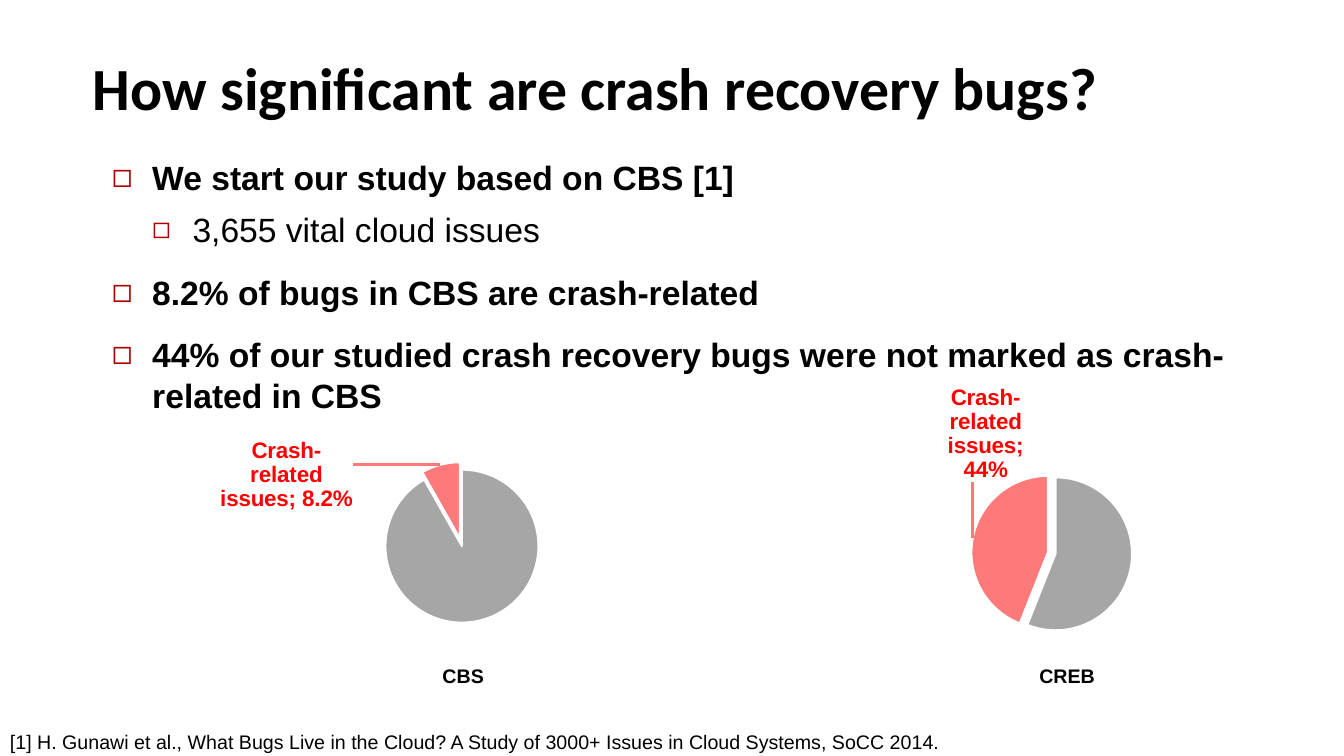
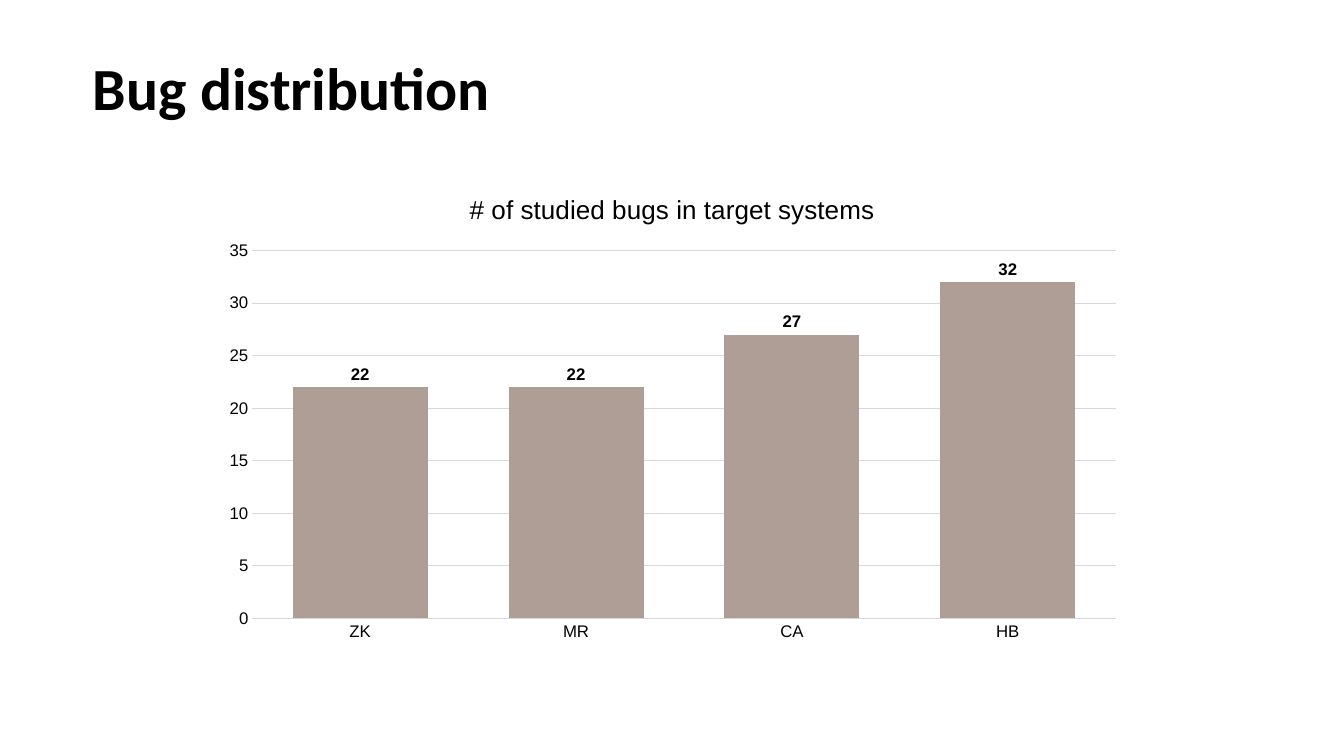
from copy import deepcopy

from pptx import Presentation
from pptx.chart.data import CategoryChartData
from pptx.dml.color import RGBColor
from pptx.enum.chart import XL_CHART_TYPE, XL_LABEL_POSITION, XL_TICK_MARK
from pptx.enum.text import MSO_ANCHOR, PP_ALIGN
from pptx.oxml import parse_xml
from pptx.oxml.ns import nsdecls, qn
from pptx.util import Inches, Pt

PIE, COLUMN = XL_CHART_TYPE.PIE, XL_CHART_TYPE.COLUMN_CLUSTERED
OUTSIDE_END = XL_LABEL_POSITION.OUTSIDE_END
NO_TICK = XL_TICK_MARK.NONE
LEFT, BOTTOM, TOP = PP_ALIGN.LEFT, MSO_ANCHOR.BOTTOM, MSO_ANCHOR.TOP

BLACK = RGBColor(0x00, 0x00, 0x00)
WHITE = RGBColor(0xFF, 0xFF, 0xFF)
RED = RGBColor(0xFF, 0x00, 0x00)
BULLET_RED = RGBColor(0xAD, 0x01, 0x01)
PINK = RGBColor(0xFE, 0x79, 0x79)
GRAY = RGBColor(0xA6, 0xA6, 0xA6)
GRID_GRAY = RGBColor(0xD9, 0xD9, 0xD9)
TAUPE = RGBColor(0xAF, 0x9E, 0x95)


def write(para, text, *, size, bold=False, font="Arial", color=BLACK, line=None, before=0):
    para.alignment = LEFT
    para.space_before = Pt(before)
    if line:
        para.line_spacing = line
    span = para.add_run()
    span.text = text
    span.font.size = Pt(size)
    span.font.bold = bold
    span.font.name = font
    span.font.color.rgb = color


def layout_xml(target="", **fractions):
    """Return a manual chart layout: x, y, w and h as shares of the chart."""
    sides = "".join(f'<c:{side} val="{share}"/>' for side, share in fractions.items())
    modes = '<c:xMode val="edge"/><c:yMode val="edge"/>' if target else ""
    head = f'<c:layoutTarget val="{target}"/>' if target else ""
    return parse_xml(f'<c:layout {nsdecls("c")}><c:manualLayout>{head}{modes}{sides}'
                     "</c:manualLayout></c:layout>")


deck = Presentation()
deck.slide_width, deck.slide_height = Inches(13.33), Inches(7.5)
TITLE_AND_BODY, TITLE_ONLY = deck.slide_layouts[1], deck.slide_layouts[5]

pages = []
for layout, heading in [(TITLE_AND_BODY, "How significant are crash recovery bugs?"),
                        (TITLE_ONLY, "Bug distribution")]:
    page = deck.slides.add_slide(layout)
    title = page.shapes.title
    title.left, title.top, title.width, title.height = map(Inches, (0.82, 0.34, 11.84, 0.93))
    title.text_frame.vertical_anchor = BOTTOM
    write(title.text_frame.paragraphs[0], heading, size=42.7, bold=True, font="Calibri",
          line=Pt(46.7))
    pages.append(page)
study_page, distribution_page = pages

# Slide 1: findings
body = study_page.placeholders[1]
body.left, body.top, body.width, body.height = map(Inches, (1.01, 1.51, 11.31, 3.2))
body.text_frame.vertical_anchor = TOP
findings = [
    (0, "We start our study based on CBS [1]"),
    (1, "3,655 vital cloud issues"),
    (0, "8.2% of bugs in CBS are crash-related"),
    (0, "44% of our studied crash recovery bugs were not marked as crash-related in CBS"),
]
for index, (level, finding) in enumerate(findings):
    para = body.text_frame.add_paragraph() if index else body.text_frame.paragraphs[0]
    para.level = level
    before = 0 if index == 0 else 8 if level else 16
    write(para, finding, size=24, bold=level == 0, before=before)
    props = para._p.get_or_add_pPr()
    props.set("marL", str(Inches(0.4 * (level + 1))))
    props.set("indent", str(Inches(-0.4)))
    size = 90 if level else 100
    for tag in (f'<a:buClr {nsdecls("a")}><a:srgbClr val="{BULLET_RED}"/></a:buClr>',
                f'<a:buSzPct {nsdecls("a")} val="{size}000"/>',
                f'<a:buChar {nsdecls("a")} char="◻"/>'):
        props.append(parse_xml(tag))

# Slide 1: pies
pies = [
    ((0.72, 3.55, 6.59, 2.86), (0.918, 0.082), "0.0%", (0.394, 0.388), (-0.13, 0.18)),
    ((5.92, 3.64, 5.63, 2.86), (0.56, 0.44), "0%", (0.636, 0.383), (0.1, -0.19)),
]
for place, shares, number_format, (plot_x, plot_y), (label_x, label_y) in pies:
    data = CategoryChartData()
    data.categories = ["Non-crash-related", "Crash-related issues"]
    data.add_series("Series 1", shares)
    chart = study_page.shapes.add_chart(PIE, *map(Inches, place), data).chart
    chart.has_legend = chart.has_title = False
    chart.font.size, chart.font.name, chart.font.color.rgb = Pt(14), "Arial", BLACK
    chart._chartSpace.chart.plotArea.insert(
        0, layout_xml("inner", x=plot_x, y=plot_y, w=0.384, h=0.531))
    for old_layout in chart._chartSpace.chart.plotArea.findall(qn("c:layout"))[1:]:
        old_layout.getparent().remove(old_layout)

    series = chart.plots[0].series[0]
    for index, color in enumerate((GRAY, PINK)):
        wedge = series.points[index].format
        wedge.fill.solid()
        wedge.fill.fore_color.rgb = color
        wedge.line.color.rgb = WHITE
        wedge.line.width = Pt(1.5)
    crash_point = series._element.findall(qn("c:dPt"))[1]
    crash_point.find(qn("c:spPr")).addprevious(
        parse_xml(f'<c:explosion {nsdecls("c")} val="10"/>'))

    labels = series.data_labels
    labels.number_format, labels.number_format_is_linked = number_format, False
    labels.show_value = labels.show_category_name = True
    labels.show_percentage = False
    labels.position = OUTSIDE_END
    labels.font.size, labels.font.bold = Pt(16), True
    labels.font.name, labels.font.color.rgb = "Arial", RED
    group = labels._element
    for old_leader in group.findall(qn("c:showLeaderLines")):
        group.remove(old_leader)
    group.append(parse_xml(f'<c:separator {nsdecls("c")}>; </c:separator>'))
    crash_label = parse_xml(f'<c:dLbl {nsdecls("c")}><c:idx val="1"/></c:dLbl>')
    crash_label.append(layout_xml(x=label_x, y=label_y))
    crash_label.extend([deepcopy(part) for part in group])
    group.insert(0, crash_label)
    group.insert(0, parse_xml(
        f'<c:dLbl {nsdecls("c")}><c:idx val="0"/><c:delete val="1"/></c:dLbl>'))
    group.append(parse_xml(f'<c:showLeaderLines {nsdecls("c")} val="1"/>'))
    group.append(parse_xml(
        f'<c:leaderLines {nsdecls("c", "a")}><c:spPr><a:ln w="{Pt(2.25)}"><a:solidFill>'
        f'<a:srgbClr val="{PINK}"/></a:solidFill></a:ln></c:spPr></c:leaderLines>'))

# Slide 1: captions and reference
REFERENCE = ("[1] H. Gunawi et al., What Bugs Live in the Cloud? "
             "A Study of 3000+ Issues in Cloud Systems, SoCC 2014.")
for place, text, bold, line in [((4.29, 6.54, 2.03, 0.33), "CBS", True, None),
                                ((10.21, 6.54, 2.03, 0.33), "CREB", True, None),
                                ((0, 7.13, 12.64, 0.37), REFERENCE, False, 1.25)]:
    box = study_page.shapes.add_textbox(*map(Inches, place))
    box.text_frame.word_wrap = True
    write(box.text_frame.paragraphs[0], text, size=14, bold=bold, line=line)

# Slide 2: column chart
data = CategoryChartData()
data.categories = ["ZK", "MR", "CA", "HB"]
data.add_series("Series 1", (22, 22, 27, 32))
chart = distribution_page.shapes.add_chart(
    COLUMN, *map(Inches, (2.09, 1.71, 9.16, 4.74)), data).chart
chart.has_legend = False
chart.font.size, chart.font.name, chart.font.color.rgb = Pt(10), "Arial", BLACK
write(chart.chart_title.text_frame.paragraphs[0], "# of studied bugs in target systems",
      size=18.6)
chart.chart_title.include_in_layout = False
for old_layout in chart._chartSpace.chart.plotArea.findall(qn("c:layout")):
    old_layout.getparent().remove(old_layout)
chart._chartSpace.chart.plotArea.insert(
    0, layout_xml("inner", x=0.045, y=0.164, w=0.935, h=0.77))

plot = chart.plots[0]
plot.gap_width, plot.vary_by_categories = 60, False
bars = plot.series[0]
bars.format.fill.solid()
bars.format.fill.fore_color.rgb = TAUPE
labels = bars.data_labels
labels.show_value, labels.position = True, OUTSIDE_END
labels.font.bold = True

for text_owner in (labels.font, chart.category_axis.tick_labels.font,
                   chart.value_axis.tick_labels.font):
    text_owner.size, text_owner.name, text_owner.color.rgb = Pt(12), "Arial", BLACK
for axis in (chart.category_axis, chart.value_axis):
    axis.major_tick_mark = axis.minor_tick_mark = NO_TICK
value_axis = chart.value_axis
value_axis.minimum_scale, value_axis.maximum_scale, value_axis.major_unit = 0, 35, 5
value_axis.format.line.fill.background()
for rule in (chart.category_axis.format.line, value_axis.major_gridlines.format.line):
    rule.color.rgb, rule.width = GRID_GRAY, Pt(0.75)

deck.save("out.pptx")
